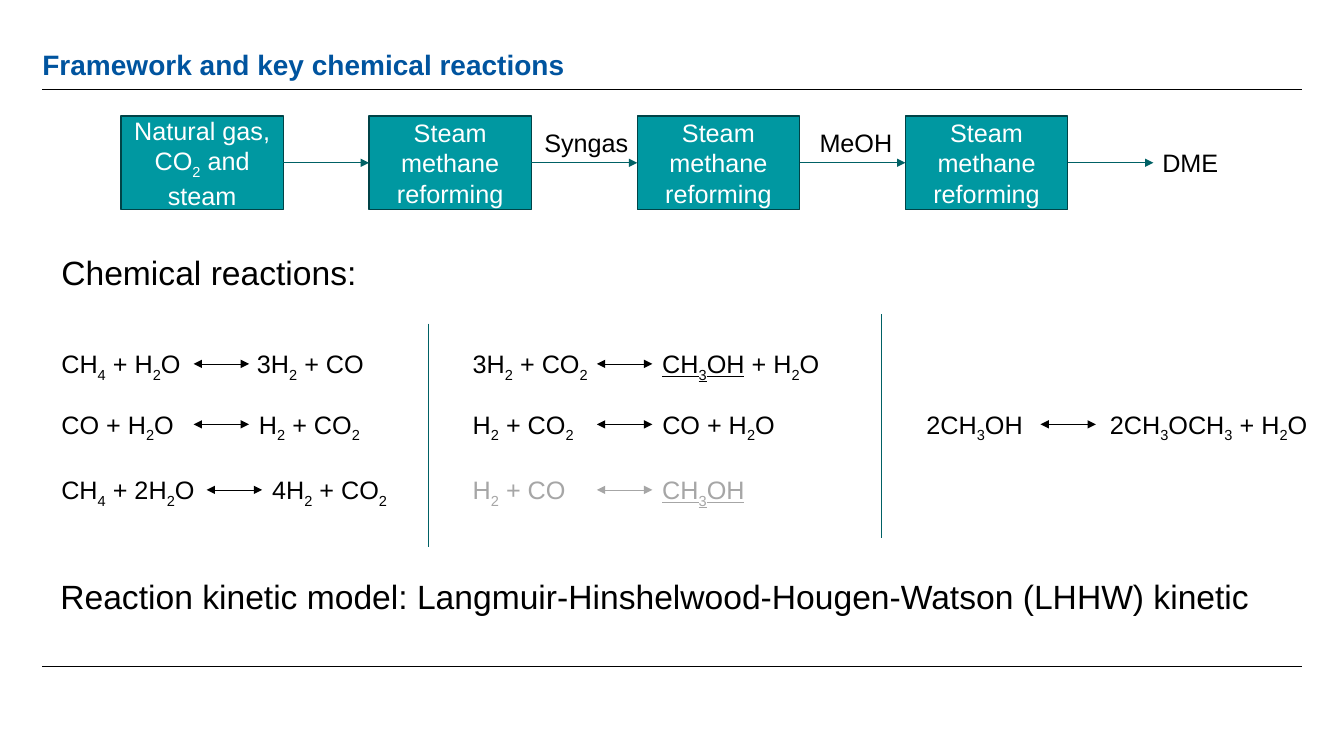
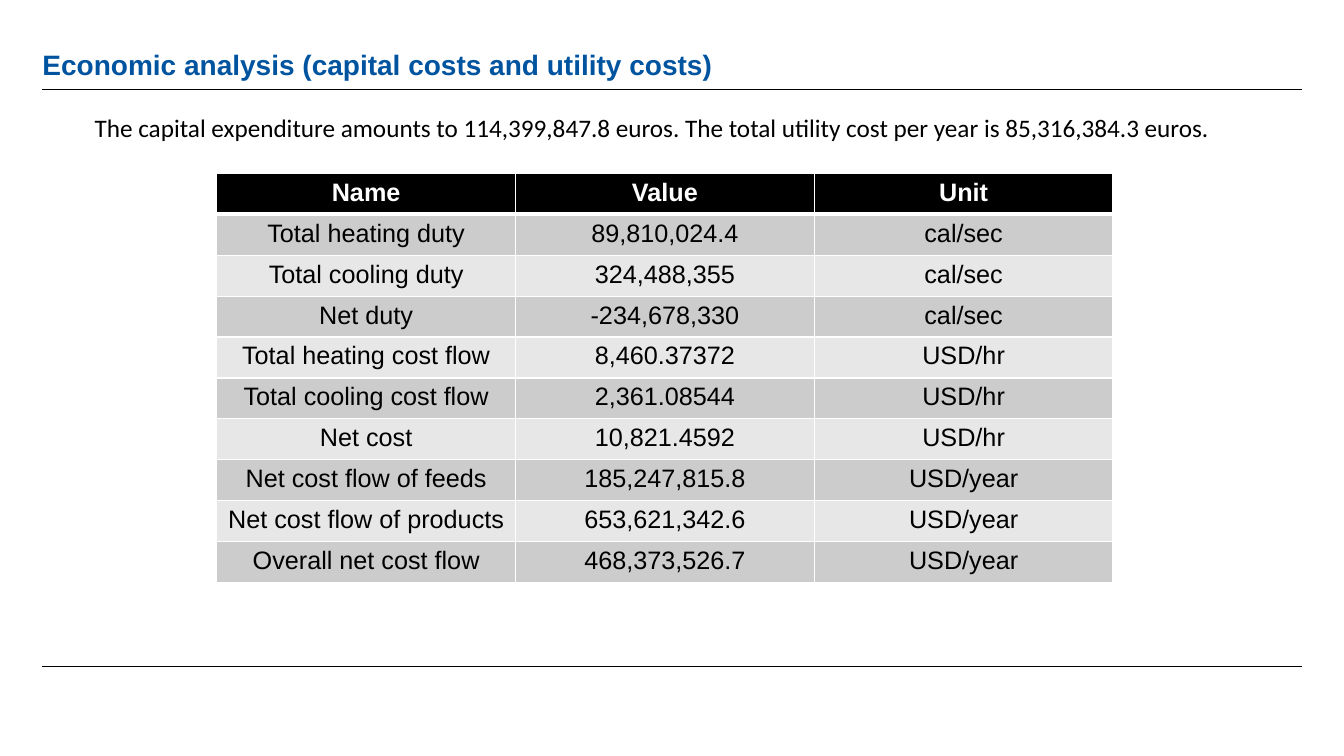
from itertools import pairwise

from lxml import etree
from pptx import Presentation
from pptx import util as u
from pptx.dml.color import RGBColor
from pptx.enum import shapes, text
from pptx.oxml import ns

COLORS = {
    "title": "00549F",
    "ink": "000000",
    "paper": "FFFFFF",
    "muted": "A6A6A6",
    "box": "0098A1",
    "box_edge": "004347",
    "flow": "006165",
    "band_dark": "CCCCCC",
    "band_light": "E7E7E7",
}
BOX_TOP, BOX_WIDTH, BOX_HEIGHT = 1.15, 1.61, 0.93
FORMULA_HEIGHT, ARROW_LENGTH = 0.4, 0.55
REACTION_TOPS = (3.41, 4.01, 4.66)

STEPS = [
    (1.2, "Natural gas, CO_2 and steam"),
    (3.66, "Steam methane reforming"),
    (6.32, "Steam methane reforming"),
    (8.98, "Steam methane reforming"),
]
STREAMS = [
    (5.3, 1.21, 1.04, "Syngas"),
    (8.03, 1.21, 0.93, "MeOH"),
    (11.43, 1.41, 0.76, "DME"),
]
REACTIONS = [
    (0, (0.51, 1.42, "CH_4 + H_2O"), 1.92, (2.45, 1.33, "3H_2 + CO"), "ink"),
    (1, (0.51, 1.39, "CO + H_2O"), 1.92, (2.47, 1.24, "H_2 + CO_2"), "ink"),
    (2, (0.51, 1.56, "CH_4 + 2H_2O"), 2.05, (2.6, 1.38, "4H_2 + CO_2"), "ink"),
    (0, (4.59, 1.38, "3H_2 + CO_2"), 5.92, (6.47, 1.8, "*CH_3OH* + H_2O"), "ink"),
    (1, (4.59, 1.24, "H_2 + CO_2"), 5.92, (6.47, 1.39, "CO + H_2O"), "ink"),
    (2, (4.59, 1.14, "H_2 + CO"), 5.92, (6.47, 1.04, "*CH_3OH*"), "muted"),
    (1, (9.09, 1.18, "2CH_3OH"), 10.32, (10.91, 2.21, "2CH_3OCH_3 + H_2O"), "ink"),
]
COSTS = [
    ("Name", "Value", "Unit"),
    ("Total heating duty", "89,810,024.4", "cal/sec"),
    ("Total cooling duty", "324,488,355", "cal/sec"),
    ("Net duty", "-234,678,330", "cal/sec"),
    ("Total heating cost flow", "8,460.37372", "USD/hr"),
    ("Total cooling cost flow", "2,361.08544", "USD/hr"),
    ("Net cost", "10,821.4592", "USD/hr"),
    ("Net cost flow of feeds", "185,247,815.8", "USD/year"),
    ("Net cost flow of products", "653,621,342.6", "USD/year"),
    ("Overall net cost flow", "468,373,526.7", "USD/year"),
]


def rgb(name):
    """Return the named palette colour."""
    return RGBColor.from_string(COLORS[name])


def add_run(paragraph, words, color, size=18, bold=False, font="Arial"):
    """Append one formatted run and return it."""
    run = paragraph.add_run()
    run.text = words
    run.font.name, run.font.size, run.font.bold = font, u.Pt(size), bold
    run.font.color.rgb = rgb(color)
    return run


def add_formula(paragraph, formula, color, **style):
    """Write a formula where _ lowers the next character and * underlines."""
    for index, span in enumerate(formula.split("*")):
        first, *lowered = span.split("_")
        pieces = [(first, False)]
        for piece in lowered:
            pieces += [(piece[0], True), (piece[1:], False)]
        for words, is_sub in pieces:
            if words:
                run = add_run(paragraph, words, color, **style)
                if index % 2:
                    run.font.underline = True
                if is_sub:
                    run._r.get_or_add_rPr().set("baseline", "-25000")


def add_label(slide, left, top, width, words, color="ink", height=FORMULA_HEIGHT,
              wrap=False, **style):
    """Add a text box holding a single paragraph."""
    label = slide.shapes.add_textbox(*map(u.Inches, (left, top, width, height)))
    label.text_frame.word_wrap = wrap
    add_formula(label.text_frame.paragraphs[0], words, color, **style)


def add_line(slide, start, end, color, heads=()):
    """Add a thin line with triangles at the named ends."""
    line = slide.shapes.add_connector(
        shapes.MSO_CONNECTOR.STRAIGHT, *map(u.Inches, (*start, *end)))
    line.line.color.rgb = rgb(color)
    line.line.width = u.Pt(0.5)
    properties = line.element.spPr
    for head in heads:
        etree.SubElement(properties.get_or_add_ln(), ns.qn(f"a:{head}"), type="triangle")
    etree.SubElement(properties, ns.qn("a:effectLst"))
    return line


def add_step(slide, left, words):
    """Add one process box."""
    step = slide.shapes.add_shape(
        shapes.MSO_SHAPE.RECTANGLE,
        *map(u.Inches, (left, BOX_TOP, BOX_WIDTH, BOX_HEIGHT)))
    step.shadow.inherit = False
    step.fill.solid()
    step.fill.fore_color.rgb = rgb("box")
    step.line.color.rgb = rgb("box_edge")
    step.line.width = u.Pt(1)
    frame = step.text_frame
    frame.word_wrap = True
    frame.vertical_anchor = text.MSO_ANCHOR.MIDDLE
    frame.paragraphs[0].alignment = text.PP_ALIGN.CENTER
    add_formula(frame.paragraphs[0], words, "paper")
    return step


def add_reaction(slide, row, reactants, arrow_left, products, color):
    """Add reactants, a double arrow and products on one row."""
    top = REACTION_TOPS[row]
    for left, width, formula in (reactants, products):
        add_label(slide, left, top, width, formula, color)
    middle = top + FORMULA_HEIGHT / 2
    add_line(slide, (arrow_left, middle), (arrow_left + ARROW_LENGTH, middle),
             color, ("headEnd", "tailEnd"))


def set_borders(cell, row):
    """Draw white cell borders, thicker under the header row."""
    properties = cell._tc.get_or_add_tcPr()
    thick_sides = {0: "B", 1: "T"}.get(row, "")
    for side in "LRTB":
        width = u.Pt(3 if side == thick_sides else 1)
        border = etree.SubElement(properties, ns.qn(f"a:ln{side}"), w=str(width))
        fill = etree.SubElement(border, ns.qn("a:solidFill"))
        etree.SubElement(fill, ns.qn("a:srgbClr"), val=COLORS["paper"])


def add_cost_table(slide):
    """Add the banded cost table."""
    frame = slide.shapes.add_table(
        len(COSTS), len(COSTS[0]), *map(u.Inches, (2.15, 1.72, 8.89, 4.06)))
    for row, entries in enumerate(COSTS):
        header = row == 0
        band = "ink" if header else ("band_light", "band_dark")[row % 2]
        for column, entry in enumerate(entries):
            cell = frame.table.cell(row, column)
            set_borders(cell, row)
            cell.fill.solid()
            cell.fill.fore_color.rgb = rgb(band)
            paragraph = cell.text_frame.paragraphs[0]
            paragraph.alignment = text.PP_ALIGN.CENTER
            add_run(paragraph, entry, "paper" if header else "ink", bold=header)


def prepare_layout(layout):
    """Place and format the title area shared by the slides."""
    title = layout.placeholders[0]
    title.left, title.top, title.width, title.height = map(
        u.Inches, (0.42, 0.22, 12.49, 0.59))
    frame = title.text_frame
    frame.margin_left = frame.margin_right = frame.margin_top = frame.margin_bottom = 0
    frame.vertical_anchor = text.MSO_ANCHOR.BOTTOM
    frame.auto_size = text.MSO_AUTO_SIZE.NONE


def add_layout_rules(slide):
    """Draw the two horizontal rules and hand them to the layout."""
    for top in (0.89, 6.61):
        rule = add_line(slide, (0.42, top), (12.91, top), "ink")
        slide.slide_layout.shapes.element.append(rule.element)


def add_slide(deck, layout, heading):
    """Add a slide with the shared title style."""
    slide = deck.slides.add_slide(layout)
    paragraph = slide.shapes.title.text_frame.paragraphs[0]
    paragraph.alignment = text.PP_ALIGN.LEFT
    paragraph.line_spacing = 0.9
    add_run(paragraph, heading, "title", size=20, bold=True)
    return slide


def add_framework(slide):
    """Fill the process and reactions slide."""
    steps = [add_step(slide, left, words) for left, words in STEPS]
    for source, target in pairwise(steps):
        flow = add_line(slide, (0, 0), (1, 0), "flow", ("tailEnd",))
        flow.begin_connect(source, 3)
        flow.end_connect(target, 1)
    middle = BOX_TOP + BOX_HEIGHT / 2
    add_line(slide, (STEPS[-1][0] + BOX_WIDTH, middle), (11.44, middle),
             "flow", ("tailEnd",))
    for stream in STREAMS:
        add_label(slide, *stream)
    add_label(slide, 0.51, 2.45, 3.25, "Chemical reactions:", height=0.5, size=24)
    for left, top in ((4.25, 3.21), (8.74, 3.12)):
        add_line(slide, (left, top), (left, top + 2.22), "flow")
    for reaction in REACTIONS:
        add_reaction(slide, *reaction)
    add_label(
        slide, 0.5, 5.66, 12.12,
        "Reaction kinetic model: Langmuir-Hinshelwood-Hougen-Watson (LHHW) kinetic",
        height=0.5, size=24)


def add_economics(slide):
    """Fill the cost slide."""
    add_label(
        slide, 0.84, 1.07, 12.4,
        "The capital expenditure amounts to 114,399,847.8 euros. "
        "The total utility cost per year is 85,316,384.3 euros.",
        wrap=True, font="Calibri")
    add_cost_table(slide)


def main():
    """Build and save the deck."""
    deck = Presentation()
    deck.slide_width, deck.slide_height = u.Inches(13.33), u.Inches(7.5)
    layout = deck.slide_layouts[5]
    prepare_layout(layout)
    framework = add_slide(deck, layout, "Framework and key chemical reactions")
    add_layout_rules(framework)
    add_framework(framework)
    add_economics(add_slide(
        deck, layout, "Economic analysis (capital costs and utility costs)"))
    deck.save("out.pptx")


if __name__ == "__main__":
    main()
